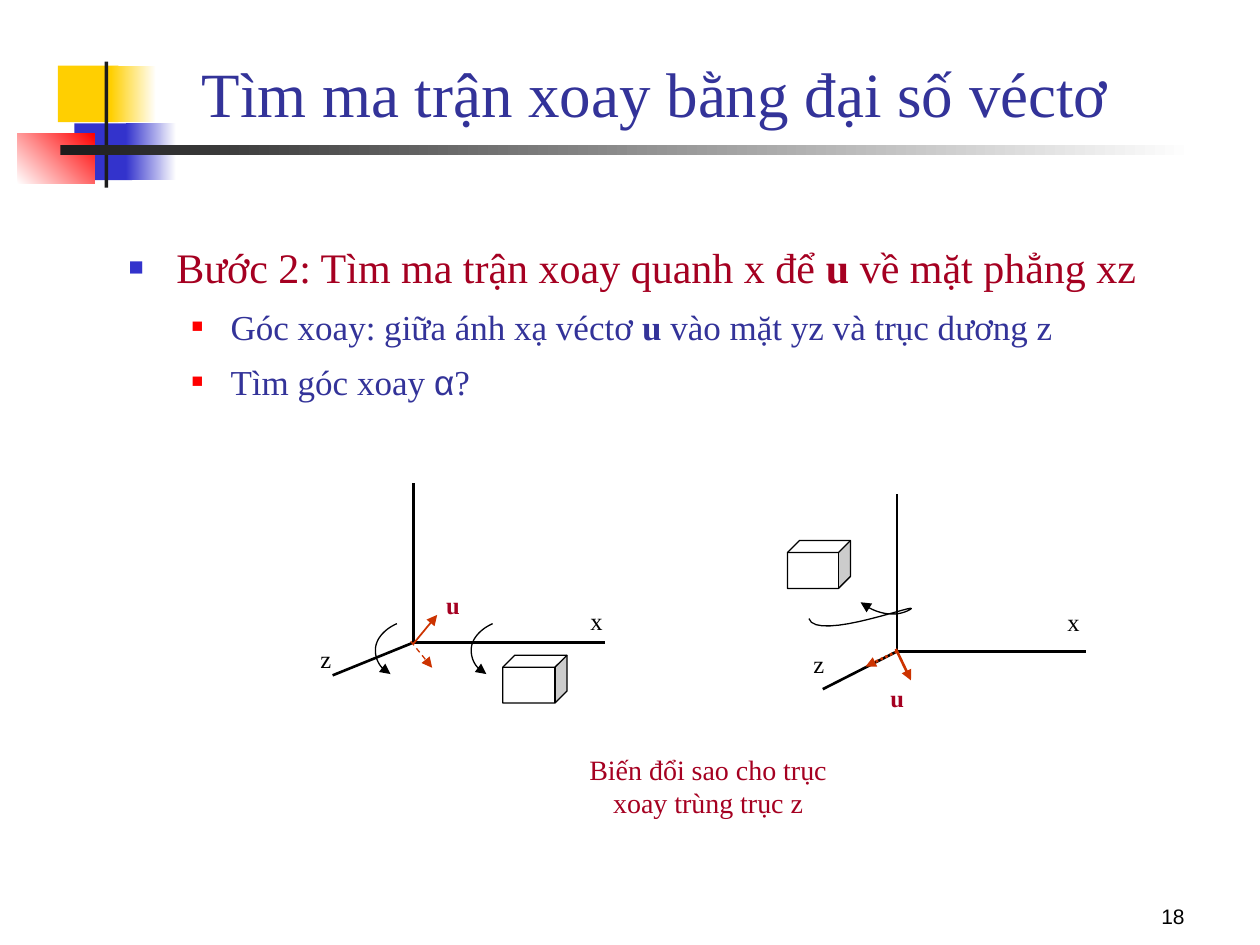
import pptx
import pptx.util
import pptx.dml.color
import pptx.enum.dml
import pptx.enum.shapes
import pptx.enum.text
import pptx.oxml.ns
from dataclasses import dataclass
from lxml import etree

Inches, Pt = pptx.util.Inches, pptx.util.Pt
Shape = pptx.enum.shapes.MSO_SHAPE
Dash = pptx.enum.dml.MSO_LINE
Align = pptx.enum.text.PP_ALIGN
Anchor = pptx.enum.text.MSO_ANCHOR
qn = pptx.oxml.ns.qn


@dataclass(frozen=True)
class Theme:
    serif: str = "Times New Roman"
    sans: str = "Arial"
    black: str = "000000"
    white: str = "FFFFFF"
    charcoal: str = "1C1C1C"
    yellow: str = "FFCF01"
    blue: str = "3333CC"
    red: str = "FF0000"
    navy: str = "333399"
    crimson: str = "A50021"
    vector: str = "CC3300"
    title: float = 36
    step: float = 24
    detail: float = 20
    caption: float = 16
    label: float = 14
    number: float = 12
    thick: float = 1.5
    thin: float = 0.75


def rgb(value):
    return pptx.dml.color.RGBColor.from_string(value)


def bezier(points, steps=16):
    """Points along a chain of cubic curves that share their end points."""
    curve = [points[0]]
    for start in range(0, len(points) - 1, 3):
        a, b, c, d = points[start:start + 4]
        for step in range(1, steps + 1):
            t = step / steps
            s = 1 - t
            curve.append(tuple(
                s**3 * a[i] + 3 * s * s * t * b[i] + 3 * s * t * t * c[i] + t**3 * d[i]
                for i in (0, 1)))
    return curve


class SlideBuilder:
    def __init__(self, slide, theme):
        self.slide, self.theme = slide, theme
        self.shapes = slide.shapes

    def start_group(self):
        self.shapes = self.slide.shapes.add_group_shape().shapes

    def end_group(self):
        self.shapes = self.slide.shapes

    def add_runs(self, paragraph, parts, size, color, align=Align.LEFT):
        """Each part is (text, bold, font)."""
        paragraph.alignment = align
        for text, bold, font in parts:
            run = paragraph.add_run()
            run.text = text
            run.font.size, run.font.name, run.font.bold = Pt(size), font, bold
            run.font.color.rgb = rgb(color)

    def place(self, placeholder, box, anchor):
        placeholder.left, placeholder.top, placeholder.width, placeholder.height = map(Inches, box)
        frame = placeholder.text_frame
        frame.word_wrap, frame.vertical_anchor = True, anchor
        frame.auto_size = pptx.enum.text.MSO_AUTO_SIZE.NONE
        return frame

    def title(self, text, box):
        frame = self.place(self.slide.shapes.title, box, Anchor.BOTTOM)
        self.add_runs(frame.paragraphs[0], [(text, False, self.theme.serif)],
                      self.theme.title, self.theme.navy)

    def bullets(self, items, box):
        theme = self.theme
        styles = [  # size, text, bullet, bullet percent, margin, indent, space before
            (theme.step, theme.crimson, theme.blue, 60, 0.38, -0.38, 6),
            (theme.detail, theme.navy, theme.red, 55, 0.81, -0.31, 5)]
        frame = self.place(self.slide.placeholders[1], box, Anchor.TOP)
        for index, (level, parts) in enumerate(items):
            paragraph = frame.add_paragraph() if index else frame.paragraphs[0]
            size, color, bullet, percent, margin, indent, before = styles[level]
            self.add_runs(paragraph, parts, size, color)
            paragraph.level = level
            paragraph.line_spacing, paragraph.space_before = 1.1, Pt(before)
            properties = paragraph._p.get_or_add_pPr()
            properties.set("marL", str(Inches(margin)))
            properties.set("indent", str(Inches(indent)))
            bullet_color = etree.SubElement(properties, qn("a:buClr"))
            etree.SubElement(bullet_color, qn("a:srgbClr"), val=bullet)
            etree.SubElement(properties, qn("a:buSzPct"), val=str(percent * 1000))
            etree.SubElement(properties, qn("a:buFont"), typeface=theme.sans)
            etree.SubElement(properties, qn("a:buChar"), char="■")

    def text(self, text, box, size, color, align=Align.CENTER, bold=False,
             font=None, anchor=Anchor.TOP):
        frame = self.shapes.add_textbox(*map(Inches, box)).text_frame
        frame.word_wrap, frame.vertical_anchor = True, anchor
        paragraph = frame.paragraphs[0]
        self.add_runs(paragraph, [(text, bold, font or self.theme.serif)], size, color, align)
        return paragraph

    def shape(self, kind, box, fill, fade_to=None, angle=0, outline=None):
        shape = self.shapes.add_shape(kind, *map(Inches, box))
        shape.shadow.inherit = False
        if fade_to:
            shape.fill.gradient()
            shape.fill.gradient_angle = angle
            for stop, color in zip(shape.fill.gradient_stops, (fill, fade_to)):
                stop.color.rgb = rgb(color)
        else:
            shape.fill.solid()
            shape.fill.fore_color.rgb = rgb(fill)
        if outline:
            shape.line.color.rgb, shape.line.width = rgb(outline), Pt(self.theme.thin)
        else:
            shape.line.fill.background()

    def stroke(self, shape, color, width, dash=None, arrow=False):
        shape.line.color.rgb, shape.line.width = rgb(color), Pt(width)
        if dash:
            shape.line.dash_style = dash
        if arrow:
            etree.SubElement(shape.line._get_or_add_ln(), qn("a:tailEnd"), type="triangle")

    def line(self, start, end, color, width, dash=None, arrow=False):
        connector = self.shapes.add_connector(
            pptx.enum.shapes.MSO_CONNECTOR.STRAIGHT, *map(Inches, start + end))
        self.stroke(connector, color, width, dash, arrow)
        etree.SubElement(connector._element.spPr, qn("a:effectLst"))

    def curved_arrow(self, controls):
        points = [(Inches(x), Inches(y)) for x, y in bezier(controls)]
        builder = self.shapes.build_freeform(*points[0])
        builder.add_line_segments(points[1:], close=False)
        shape = builder.convert_to_shape()
        shape.shadow.inherit = False
        shape.fill.background()
        self.stroke(shape, self.theme.black, self.theme.thin, arrow=True)

    def axes(self, origin, ends, labels, cube):
        theme = self.theme
        for end in ends:
            self.line(origin, end, theme.black, theme.thick)
        for name, box in labels.items():
            is_vector = name == "u"
            paragraph = self.text(name, box, theme.label,
                                  theme.crimson if is_vector else theme.black, bold=is_vector)
            if is_vector:
                paragraph.line_spacing, paragraph.space_after = 1.36, Pt(12)
        self.shape(Shape.CUBE, cube, theme.white, outline=theme.black)


theme = Theme()
presentation = pptx.Presentation()
presentation.slide_width, presentation.slide_height = Inches(10), Inches(7.5)
slide = presentation.slides.add_slide(presentation.slide_layouts[1])
builder = SlideBuilder(slide, theme)

# Corner decoration and title rule
for box, fill, fade_to, angle in [
        ((0.46, 0.52, 0.48, 0.45), theme.yellow, None, 0),
        ((0.88, 0.52, 0.36, 0.45), theme.yellow, theme.white, 0),
        ((0.59, 0.98, 0.46, 0.45), theme.blue, None, 0),
        ((1, 0.98, 0.4, 0.45), theme.blue, theme.white, 0),
        ((0.14, 1.06, 0.61, 0.4), theme.white, theme.red, 45),
        ((0.83, 0.49, 0.03, 1), theme.charcoal, None, 0),
        ((0.48, 1.15, 9, 0.08), theme.charcoal, theme.white, 0)]:
    builder.shape(Shape.RECTANGLE, box, fill, fade_to, angle)

# Title, list and page number
builder.title("Tìm ma trận xoay bằng đại số véctơ", (1.5, 0.25, 8.36, 0.83))
serif, sans = theme.serif, theme.sans
builder.bullets([
    (0, [("Bước 2: Tìm ma trận xoay quanh x để ", False, serif), ("u", True, serif),
         (" về mặt phẳng xz", False, serif)]),
    (1, [("Góc xoay: giữa ánh xạ véctơ ", False, serif), ("u", True, serif),
         (" vào mặt yz và trục dương z", False, serif)]),
    (1, [("Tìm góc xoay ", False, serif), ("α", False, sans), ("?", False, serif)]),
], (0.92, 1.83, 8.67, 4.62))
builder.text("18", (8.08, 6.92, 1.42, 0.5), theme.number, theme.black, Align.RIGHT,
             font=sans, anchor=Anchor.BOTTOM)

# Left diagram: before the rotation about x
builder.start_group()
builder.axes((3.28, 5.1), [(3.28, 3.83), (4.8, 5.1), (2.64, 5.36)],
             {"u": (3.34, 4.55, 0.51, 0.38), "z": (2.33, 5.06, 0.51, 0.38),
              "x": (4.42, 4.76, 0.63, 0.38)}, (3.99, 5.2, 0.51, 0.38))
builder.line((3.28, 5.11), (3.47, 4.88), theme.vector, 1, arrow=True)
builder.line((3.26, 5.09), (3.43, 5.3), theme.vector, theme.thin, Dash.DASH, True)
for left in (3.74, 2.98):
    builder.curved_arrow([(left + dx, y) for dx, y in [
        (0.17, 4.95), (0.06, 5), (0, 5.08), (0, 5.16),
        (0, 5.24), (0.04, 5.31), (0.12, 5.35)]])
builder.end_group()

# Right diagram: after the rotation
builder.start_group()
builder.axes((7.12, 5.17), [(7.12, 3.92), (8.62, 5.17), (6.53, 5.47)],
             {"u": (6.87, 5.29, 0.5, 0.38), "z": (6.25, 5.1, 0.5, 0.37),
              "x": (8.21, 4.77, 0.62, 0.38)}, (6.25, 4.29, 0.5, 0.38))
builder.line((7.11, 5.15), (7.23, 5.4), theme.vector, theme.thick, arrow=True)
builder.curved_arrow([(6.42, 4.91), (6.48, 5.1), (7.35, 4.76), (7.22, 4.84),
                      (7.11, 4.9), (6.96, 4.88), (6.83, 4.78)])
builder.line((7.12, 5.17), (6.87, 5.29), theme.vector, theme.thick, Dash.ROUND_DOT, True)
builder.end_group()

# Caption
builder.text("Biến đổi sao cho trục xoay trùng trục z", (4.42, 5.92, 2.4, 0.64),
             theme.caption, theme.crimson)

presentation.save("out.pptx")
